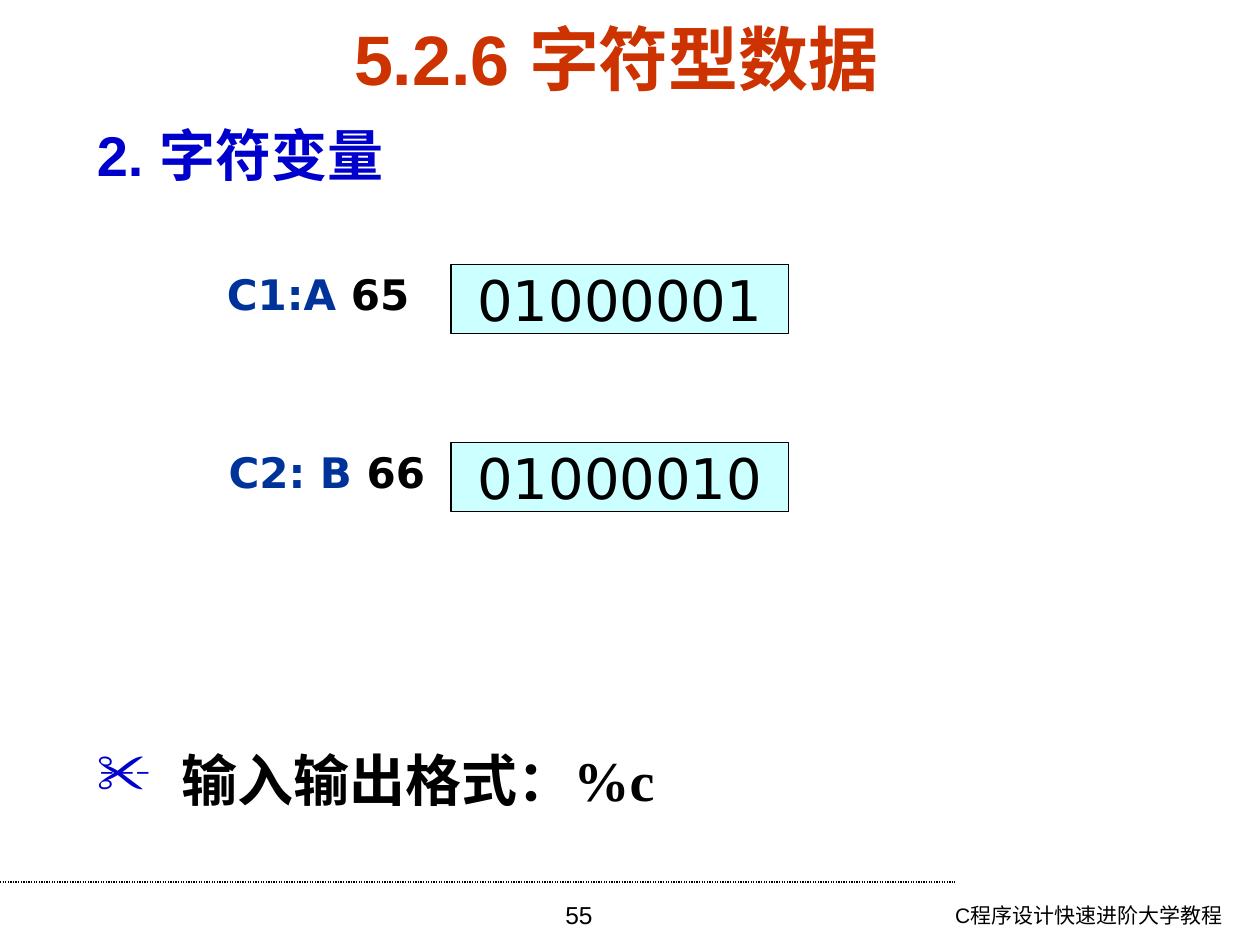
from dataclasses import dataclass

from lxml import etree
from pptx import Presentation
from pptx import util as u
from pptx.dml.color import RGBColor
from pptx.enum import dml, shapes, text
from pptx.oxml import ns

INK = {
    "text": "000000",
    "title": "CC3300",
    "head": "0000CC",
    "name": "003399",
    "cell": "CCFFFF",
}
COLS, ROWS = 100, 75
WIDE, HIGH = u.Inches(10), u.Inches(7.5)
LEFT, MID, RIGHT = text.PP_ALIGN.LEFT, text.PP_ALIGN.CENTER, text.PP_ALIGN.RIGHT
TOP, CORE = text.MSO_ANCHOR.TOP, text.MSO_ANCHOR.MIDDLE


@dataclass
class Box:
    col: float
    row: float
    cols: float
    rows: float

    def place(self) -> tuple[int, int, int, int]:
        return (
            int(WIDE * self.col / COLS),
            int(HIGH * self.row / ROWS),
            int(WIDE * self.cols / COLS),
            int(HIGH * self.rows / ROWS),
        )


@dataclass
class Part:
    words: str
    size: float
    ink: str = "text"
    face: str = "Arial"
    bold: bool = False


@dataclass
class Byte:
    name: str
    code: str
    bits: str
    col: float


def fill_text(shape, parts: list[Part], align=MID, anchor=CORE, wrap=True):
    frame = shape.text_frame
    frame.word_wrap = wrap
    frame.auto_size = text.MSO_AUTO_SIZE.NONE
    frame.vertical_anchor = anchor
    para = frame.paragraphs[0]
    para.alignment = align
    for part in parts:
        run = para.add_run()
        run.text = part.words
        font = run.font
        font.size, font.bold, font.name = u.Pt(part.size), part.bold, part.face
        font.color.rgb = RGBColor.from_string(INK[part.ink])
    return para


def add_text(slide, box: Box, parts: list[Part], **style):
    return fill_text(slide.shapes.add_textbox(*box.place()), parts, **style)


def add_mark(para, mark: str, ink: str, dent: float) -> None:
    props = para._p.get_or_add_pPr()
    props.set("marL", str(u.Inches(dent)))
    props.set("indent", str(-u.Inches(dent)))
    tint = etree.SubElement(props, ns.qn("a:buClr"))
    etree.SubElement(tint, ns.qn("a:srgbClr"), val=INK[ink])
    etree.SubElement(props, ns.qn("a:buChar"), char=mark)


def add_byte(slide, byte: Byte, row: float) -> None:
    face = "DejaVu Sans"
    label = [Part(byte.name, 24, "name", face, True), Part(byte.code, 24, "text", face, True)]
    add_text(slide, Box(byte.col, row - 0.8, 8.7, 6.3), label, wrap=False)
    cell = slide.shapes.add_shape(
        shapes.MSO_SHAPE.RECTANGLE, *Box(35.8, row, 26.8, 5.5).place()
    )
    cell.shadow.inherit = False
    cell.fill.solid()
    cell.fill.fore_color.rgb = RGBColor.from_string(INK["cell"])
    cell.line.color.rgb = RGBColor.from_string(INK["text"])
    cell.line.width = u.Pt(0.75)
    fill_text(cell, [Part(byte.bits, 32, "text", face)], wrap=False)


def add_rule(slide, row: float, cols: float) -> None:
    x, y, w, _ = Box(0, row, cols, 0).place()
    rule = slide.shapes.add_connector(shapes.MSO_CONNECTOR.STRAIGHT, x, y, x + w, y)
    rule.line.color.rgb = RGBColor.from_string(INK["text"])
    rule.line.width = u.Pt(0.75)
    rule.line.dash_style = dml.MSO_LINE.ROUND_DOT
    etree.SubElement(rule._element.spPr, ns.qn("a:effectLst"))


def main() -> None:
    deck = Presentation()
    deck.slide_width, deck.slide_height = WIDE, HIGH
    slide = deck.slides.add_slide(deck.slide_layouts[5])

    add_rule(slide, 70, 75.8)
    add_text(slide, Box(65.7, 71.1, 32.3, 3.9), [Part("C程序设计快速进阶大学教程", 12)],
             align=RIGHT, anchor=TOP)
    add_text(slide, Box(34.3, 70.9, 23.3, 4.1), [Part("55", 14)], anchor=TOP)

    title = slide.shapes.title
    title.left, title.top, title.width, title.height = Box(4.3, 2.1, 90.5, 5).place()
    fill_text(title, [Part("5.2.6 字符型数据 ", 40, "title", bold=True)])

    add_text(slide, Box(6.7, 9.1, 89, 8), [Part("2. 字符变量", 32, "head", bold=True)],
             align=LEFT, anchor=TOP)

    data = [Byte("C1:A ", "65", "01000001", 20.9), Byte("C2: B ", "66", "01000010", 21.6)]
    for step, byte in enumerate(data):
        add_byte(slide, byte, 21 + 14.1 * step)

    form = [
        Part("输入输出格式：", 32, bold=True),
        Part("%c", 32, face="Times New Roman", bold=True),
    ]
    para = add_text(slide, Box(6.7, 58.7, 89, 8), form, align=LEFT, anchor=TOP)
    add_mark(para, "✂", "head", 0.67)

    deck.save("out.pptx")


if __name__ == "__main__":
    main()
